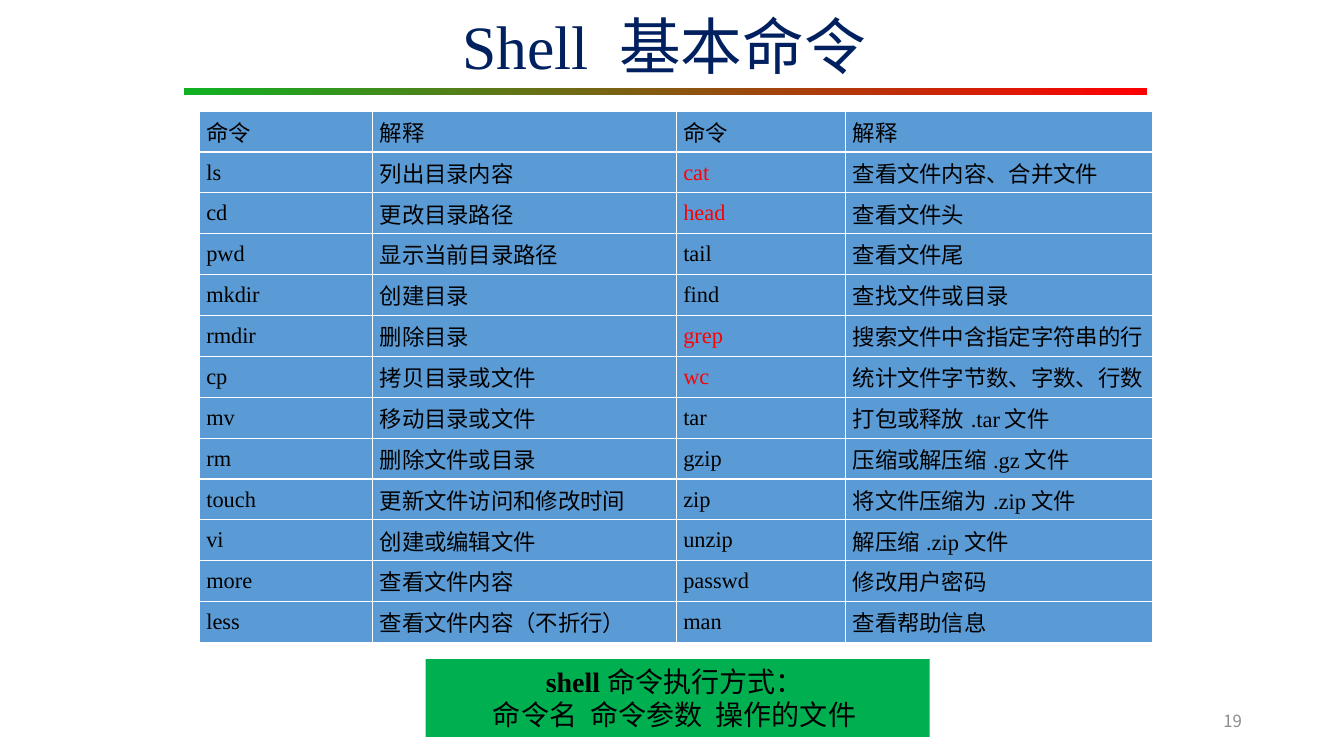
from dataclasses import dataclass

from lxml.etree import SubElement
from pptx import Presentation
from pptx.dml.color import RGBColor
from pptx.enum.shapes import MSO_SHAPE as Shape
from pptx.enum.text import MSO_ANCHOR as Anchor, PP_ALIGN as Align
from pptx.oxml.ns import qn
from pptx.util import Cm, Pt


@dataclass(frozen=True)
class Theme:
    latin: str = "Times New Roman"
    chinese: str = "Noto Sans CJK SC"
    title_size: int = 44
    note_size: int = 20
    note_line: int = 24
    cell_size: int = 16
    number_size: int = 12
    title: str = "002060"
    text: str = "000000"
    key: str = "FF0000"
    number: str = "8C8C8C"
    cell: str = "5B9BD5"
    border: str = "FFFFFF"
    note: str = "00B050"
    rule_start: str = "0FB122"
    rule_end: str = "FF0000"


theme = Theme()


def add_span(para, text, size, color, font=theme.latin, bold=False, spacing=0):
    span = para.add_run()
    span.text = text
    span.font.size = Pt(size)
    span.font.bold = bold
    span.font.name = font
    span.font.color.rgb = RGBColor.from_string(color)
    props = span._r.get_or_add_rPr()
    SubElement(props, qn("a:ea"), typeface=theme.chinese)
    if spacing:
        props.set("spc", str(spacing * 100))


def add_borders(cell):
    props = cell._tc.get_or_add_tcPr()
    for side in ("a:lnL", "a:lnR", "a:lnT", "a:lnB"):
        line = SubElement(props, qn(side), w=str(Pt(1)))
        SubElement(SubElement(line, qn("a:solidFill")), qn("a:srgbClr"), val=theme.border)


deck = Presentation()
deck.slide_width, deck.slide_height = Cm(33.87), Cm(19.05)
page = deck.slides.add_slide(deck.slide_layouts[6])

title_box = page.shapes.add_textbox(Cm(5.31), Cm(-0.33), Cm(22.86), Cm(3.18))
title_box.text_frame.word_wrap = True
title_box.text_frame.vertical_anchor = Anchor.MIDDLE
para = title_box.text_frame.paragraphs[0]
para.alignment = Align.CENTER
para.line_spacing = 0.9
add_span(para, "Shell ", theme.title_size, theme.title)
add_span(para, "基本命令", theme.title_size, theme.title, theme.chinese)

commands = [
    ("命令", "解释", "命令", "解释"),
    ("ls", "列出目录内容", "cat", "查看文件内容、合并文件"),
    ("cd", "更改目录路径", "head", "查看文件头"),
    ("pwd", "显示当前目录路径", "tail", "查看文件尾"),
    ("mkdir", "创建目录", "find", "查找文件或目录"),
    ("rmdir", "删除目录", "grep", "搜索文件中含指定字符串的行"),
    ("cp", "拷贝目录或文件", "wc", "统计文件字节数、字数、行数"),
    ("mv", "移动目录或文件", "tar", "打包或释放.tar文件"),
    ("rm", "删除文件或目录", "gzip", "压缩或解压缩.gz文件"),
    ("touch", "更新文件访问和修改时间", "zip", "将文件压缩为.zip文件"),
    ("vi", "创建或编辑文件", "unzip", "解压缩.zip文件"),
    ("more", "查看文件内容", "passwd", "修改用户密码"),
    ("less", "查看文件内容（不折行）", "man", "查看帮助信息"),
]
key_commands = {"cat", "head", "grep", "wc"}
column_widths = [4.37, 7.65, 4.27, 7.75]
row_height = 1.03

table = page.shapes.add_table(
    len(commands), len(column_widths), Cm(5.02), Cm(2.8),
    Cm(sum(column_widths)), Cm(row_height * len(commands)),
).table
table.first_row = False
table.horz_banding = False
for column, width in zip(table.columns, column_widths):
    column.width = Cm(width)
for row, texts in zip(table.rows, commands):
    row.height = Cm(row_height)
    for cell, text in zip(row.cells, texts):
        cell.margin_left = cell.margin_right = Cm(0.18)
        cell.margin_top = cell.margin_bottom = Cm(0)
        cell.vertical_anchor = Anchor.MIDDLE
        add_borders(cell)
        cell.fill.solid()
        cell.fill.fore_color.rgb = RGBColor.from_string(theme.cell)
        color = theme.key if text in key_commands else theme.text
        add_span(cell.text_frame.paragraphs[0], text, theme.cell_size, color)

rule = page.shapes.add_shape(Shape.RECTANGLE, Cm(4.62), Cm(2.21), Cm(24.31), Cm(0.2))
rule.shadow.inherit = False
rule.fill.gradient()
rule.fill.gradient_angle = 0
for stop, position, color in zip(
    rule.fill.gradient_stops, (0, 1), (theme.rule_start, theme.rule_end)
):
    stop.position = position
    stop.color.rgb = RGBColor.from_string(color)
rule.line.color.rgb = RGBColor.from_string(theme.border)
rule.line.width = Pt(0.75)

note_box = page.shapes.add_shape(Shape.RECTANGLE, Cm(10.73), Cm(16.61), Cm(12.7), Cm(1.96))
note_box.shadow.inherit = False
note_box.fill.solid()
note_box.fill.fore_color.rgb = RGBColor.from_string(theme.note)
note_box.line.fill.background()
note = note_box.text_frame
note.word_wrap = True
note.vertical_anchor = Anchor.TOP
heading, usage = note.paragraphs[0], note.add_paragraph()
for para in (heading, usage):
    para.alignment = Align.CENTER
    para.line_spacing = Pt(theme.note_line)
add_span(heading, "shell", theme.note_size, theme.text, bold=True)
add_span(heading, "命令执行方式： ", theme.note_size, theme.text)
for word, gap in (("命令名", 5), ("命令参数", 5), ("操作的文件", 0)):
    add_span(usage, word, theme.note_size, theme.text)
    add_span(usage, " ", theme.note_size, theme.text, spacing=gap)

number_box = page.shapes.add_textbox(Cm(23.93), Cm(17.65), Cm(7.62), Cm(1.02))
number_box.text_frame.word_wrap = True
number_box.text_frame.vertical_anchor = Anchor.MIDDLE
para = number_box.text_frame.paragraphs[0]
para.alignment = Align.RIGHT
add_span(para, "19", theme.number_size, theme.number, theme.chinese)

deck.save("out.pptx")
